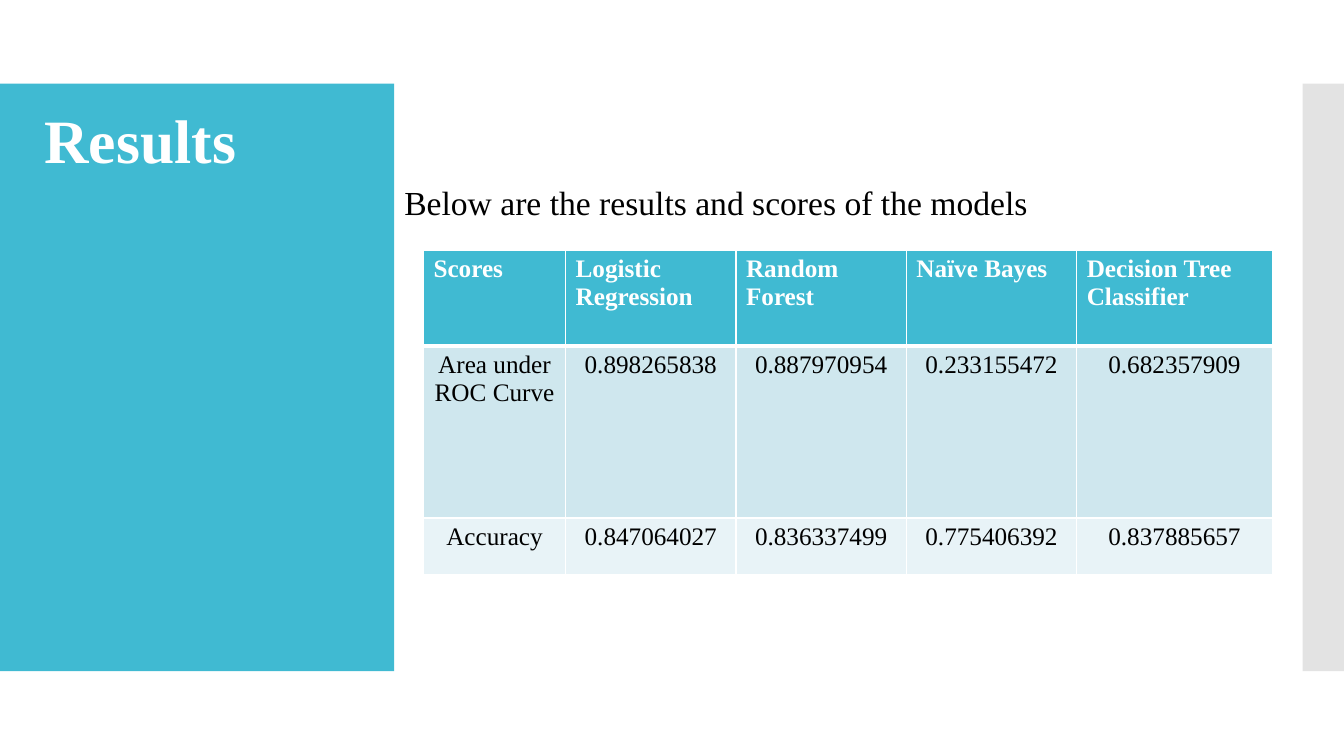
from lxml import etree
from pptx import Presentation
from pptx import util as u
from pptx.dml import color
from pptx.enum import shapes, text
from pptx.oxml import ns

FONT = "Times New Roman"
TEAL, GREY, WHITE, BLACK = "40BAD2", "C8C8C8", "FFFFFF", "000000"
BANDS = [TEAL, "CFE7EE", "E8F3F7"]
COLS = [141, 169, 169, 169, 194]
ROWS = [95, 171, 56]
SCORES = [
    ["Scores", "Logistic Regression", "Random Forest", "Naïve Bayes",
     "Decision Tree Classifier"],
    ["Area under ROC Curve", "0.898265838", "0.887970954", "0.233155472",
     "0.682357909"],
    ["Accuracy", "0.847064027", "0.836337499", "0.775406392", "0.837885657"],
]


def px(n):
    """Turn px, 100 to the inch, into EMU."""
    return u.Emu(n * 9144)


def paint(fill, tone):
    fill.solid()
    fill.fore_color.rgb = color.RGBColor.from_string(tone)


def style(para, size, tone, bold=False):
    for run in para.runs:
        font = run.font
        font.name, font.size, font.bold = FONT, u.Pt(size), bold
        paint(font.fill, tone)


def place(shape, box):
    shape.left, shape.top, shape.width, shape.height = map(px, box)


def panel(slide, box, tone, alpha=100):
    """Add a plain block behind the title."""
    block = slide.shapes.add_shape(shapes.MSO_SHAPE.RECTANGLE, *map(px, box))
    block.shadow.inherit = False
    block.line.fill.background()
    paint(block.fill, tone)
    if alpha < 100:
        rgb = block.element.spPr.find(".//" + ns.qn("a:srgbClr"))
        etree.SubElement(rgb, ns.qn("a:alpha"), val=str(alpha * 1000))
    slide.shapes.title.element.addprevious(block.element)


def title(slide, box, words):
    head = slide.shapes.title
    place(head, box)
    frame = head.text_frame
    frame.text = words
    frame.vertical_anchor = text.MSO_ANCHOR.BOTTOM
    para = frame.paragraphs[0]
    para.alignment = text.PP_ALIGN.LEFT
    para.line_spacing = 0.9
    style(para, 44, WHITE, True)
    para.runs[0].font.element.set("spc", "-60") if hasattr(
        para.runs[0].font, "element") else None


def body(slide, box, words):
    """Fill the body placeholder with one line that has no bullet."""
    lead = slide.placeholders[1]
    place(lead, box)
    frame = lead.text_frame
    frame.text = words
    frame.vertical_anchor = text.MSO_ANCHOR.TOP
    para = frame.paragraphs[0]
    para.line_spacing = 0.9
    para.space_before, para.space_after = u.Pt(0), u.Pt(6)
    style(para, 24, BLACK)
    props = para._p.get_or_add_pPr()
    props.set("marL", "0")
    props.set("indent", "0")
    etree.SubElement(props, ns.qn("a:buNone"))


def edges(cell, top, bottom):
    """Draw white cell borders; top and bottom are widths in points."""
    props = cell._tc.get_or_add_tcPr()
    sides = [("L", 1), ("R", 1), ("T", top), ("B", bottom)]
    for i, (side, wide) in enumerate(sides):
        line = etree.Element(ns.qn("a:ln" + side), w=str(u.Pt(wide)))
        fill = etree.SubElement(line, ns.qn("a:solidFill"))
        etree.SubElement(fill, ns.qn("a:srgbClr"), val=WHITE)
        props.insert(i, line)


def table(slide, box, data):
    grid = slide.shapes.add_table(len(ROWS), len(COLS), *map(px, box)).table
    for col, wide in zip(grid.columns, COLS):
        col.width = px(wide)
    for r, (row, high) in enumerate(zip(grid.rows, ROWS)):
        row.height = px(high)
        top = r == 0
        for cell, words in zip(row.cells, data[r]):
            cell.text = words
            para = cell.text_frame.paragraphs[0]
            if not top:
                para.alignment = text.PP_ALIGN.CENTER
            style(para, 18, WHITE if top else BLACK, top)
            paint(cell.fill, BANDS[r])
            edges(cell, 3 if r == 1 else 1, 3 if top else 1)


def results(deck):
    slide = deck.slides.add_slide(deck.slide_layouts[1])
    panel(slide, (0, 83, 391, 583), TEAL)
    panel(slide, (1292, 83, 41, 583), GREY, 50)
    title(slide, (34, 66, 322, 114), "Results")
    body(slide, (391, 180, 872, 435),
         "Below are the results and scores of the models")
    table(slide, (420, 248, sum(COLS), sum(ROWS)), SCORES)


def main():
    deck = Presentation()
    deck.slide_width, deck.slide_height = px(1333), px(750)
    results(deck)
    deck.save("out.pptx")


if __name__ == "__main__":
    main()
